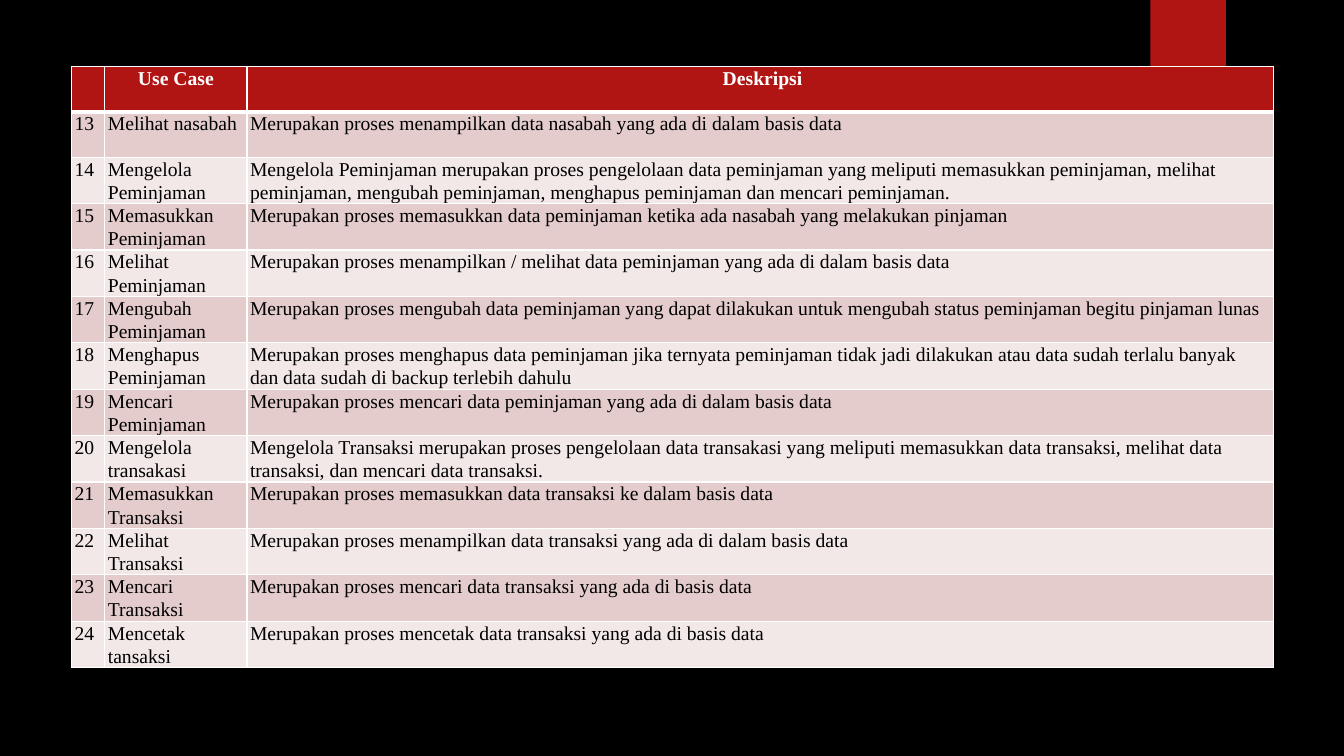
from lxml.etree import SubElement
from pptx import Presentation
from pptx.dml.color import RGBColor
from pptx.enum.shapes import MSO_SHAPE
from pptx.enum.text import PP_ALIGN
from pptx.oxml.ns import qn
from pptx.util import Inches, Pt

BLACK = RGBColor(0x00, 0x00, 0x00)
WHITE = RGBColor(0xFF, 0xFF, 0xFF)
RED = RGBColor(0xB0, 0x15, 0x13)
DARK_BAND = RGBColor(0xE4, 0xCC, 0xCC)
LIGHT_BAND = RGBColor(0xF2, 0xE8, 0xE7)

USE_CASES = [
    ("Melihat nasabah", "Merupakan proses menampilkan data nasabah yang ada di dalam basis data"),
    ("Mengelola Peminjaman", "Mengelola Peminjaman merupakan proses pengelolaan data peminjaman yang meliputi "
     "memasukkan peminjaman, melihat peminjaman, mengubah peminjaman, menghapus peminjaman dan mencari peminjaman."),
    ("Memasukkan Peminjaman", "Merupakan proses memasukkan data peminjaman ketika ada nasabah yang melakukan pinjaman"),
    ("Melihat Peminjaman", "Merupakan proses menampilkan / melihat data peminjaman yang ada di dalam basis data"),
    ("Mengubah Peminjaman", "Merupakan proses mengubah data peminjaman yang dapat dilakukan untuk mengubah "
     "status peminjaman begitu pinjaman lunas"),
    ("Menghapus Peminjaman", "Merupakan proses menghapus data peminjaman jika ternyata peminjaman tidak jadi "
     "dilakukan atau data sudah terlalu banyak dan data sudah di backup terlebih dahulu"),
    ("Mencari Peminjaman", "Merupakan proses mencari data peminjaman yang ada di dalam basis data"),
    ("Mengelola transakasi", "Mengelola Transaksi merupakan proses pengelolaan data transakasi yang meliputi "
     "memasukkan data transaksi, melihat data transaksi, dan mencari data transaksi."),
    ("Memasukkan Transaksi", "Merupakan proses memasukkan data transaksi ke dalam basis data"),
    ("Melihat Transaksi", "Merupakan proses menampilkan data transaksi yang ada di dalam basis data"),
    ("Mencari Transaksi", "Merupakan proses mencari data transaksi yang ada di basis data"),
    ("Mencetak tansaksi", "Merupakan proses mencetak data transaksi yang ada di basis data"),
]
FIRST_NUMBER = 13
COLUMN_WIDTHS = [0.33, 1.41, 10.18]
ROW_HEIGHT = 0.45


def write_cell(cell, text, color=BLACK, bold=False, align=PP_ALIGN.LEFT):
    cell.margin_left = cell.margin_right = Inches(0.03)
    cell.margin_top = cell.margin_bottom = 0
    paragraph = cell.text_frame.paragraphs[0]
    paragraph.alignment = align
    paragraph.line_spacing = 1.07
    paragraph.font.name = "Times New Roman"
    paragraph.font.size = Pt(14)
    paragraph.font.bold = bold
    paragraph.font.color.rgb = color
    if text:
        run = paragraph.add_run()
        run.text = text
        run.font.name = "Times New Roman"
        run.font.size = Pt(14)
        run.font.bold = bold
        run.font.color.rgb = color


def add_borders(cell, top, bottom):
    properties = cell._tc.get_or_add_tcPr()
    for side, width in (("L", 1), ("R", 1), ("T", top), ("B", bottom)):
        line = SubElement(properties, qn(f"a:ln{side}"), w=str(Pt(width)))
        fill = SubElement(line, qn("a:solidFill"))
        SubElement(fill, qn("a:srgbClr"), val=str(WHITE))


presentation = Presentation()
presentation.slide_width = Inches(13.33)
presentation.slide_height = Inches(7.5)
slide = presentation.slides.add_slide(presentation.slide_layouts[6])
slide.background.fill.solid()
slide.background.fill.fore_color.rgb = BLACK

ribbon = slide.shapes.add_shape(MSO_SHAPE.RECTANGLE, Inches(11.41), 0, Inches(0.75), Inches(1.25))
ribbon.shadow.inherit = False
ribbon.fill.solid()
ribbon.fill.fore_color.rgb = RED
ribbon.line.fill.background()

rows = [("", "Use Case", " Deskripsi")]
for number, (use_case, description) in enumerate(USE_CASES, FIRST_NUMBER):
    rows.append((str(number), use_case, description))

use_case_table = slide.shapes.add_table(
    len(rows), len(COLUMN_WIDTHS), Inches(0.71), Inches(0.66),
    Inches(sum(COLUMN_WIDTHS)), Inches(ROW_HEIGHT * len(rows))).table
for column, width in zip(use_case_table.columns, COLUMN_WIDTHS):
    column.width = Inches(width)

for row_index, texts in enumerate(rows):
    use_case_table.rows[row_index].height = Inches(ROW_HEIGHT)
    is_header = row_index == 0
    for column_index, text in enumerate(texts):
        cell = use_case_table.cell(row_index, column_index)
        add_borders(cell, top=3 if row_index == 1 else 1, bottom=3 if is_header else 1)
        cell.fill.solid()
        if is_header:
            cell.fill.fore_color.rgb = RED
            write_cell(cell, text, color=WHITE, bold=True, align=PP_ALIGN.CENTER)
        else:
            cell.fill.fore_color.rgb = DARK_BAND if row_index % 2 else LIGHT_BAND
            write_cell(cell, text)

presentation.save("out.pptx")
